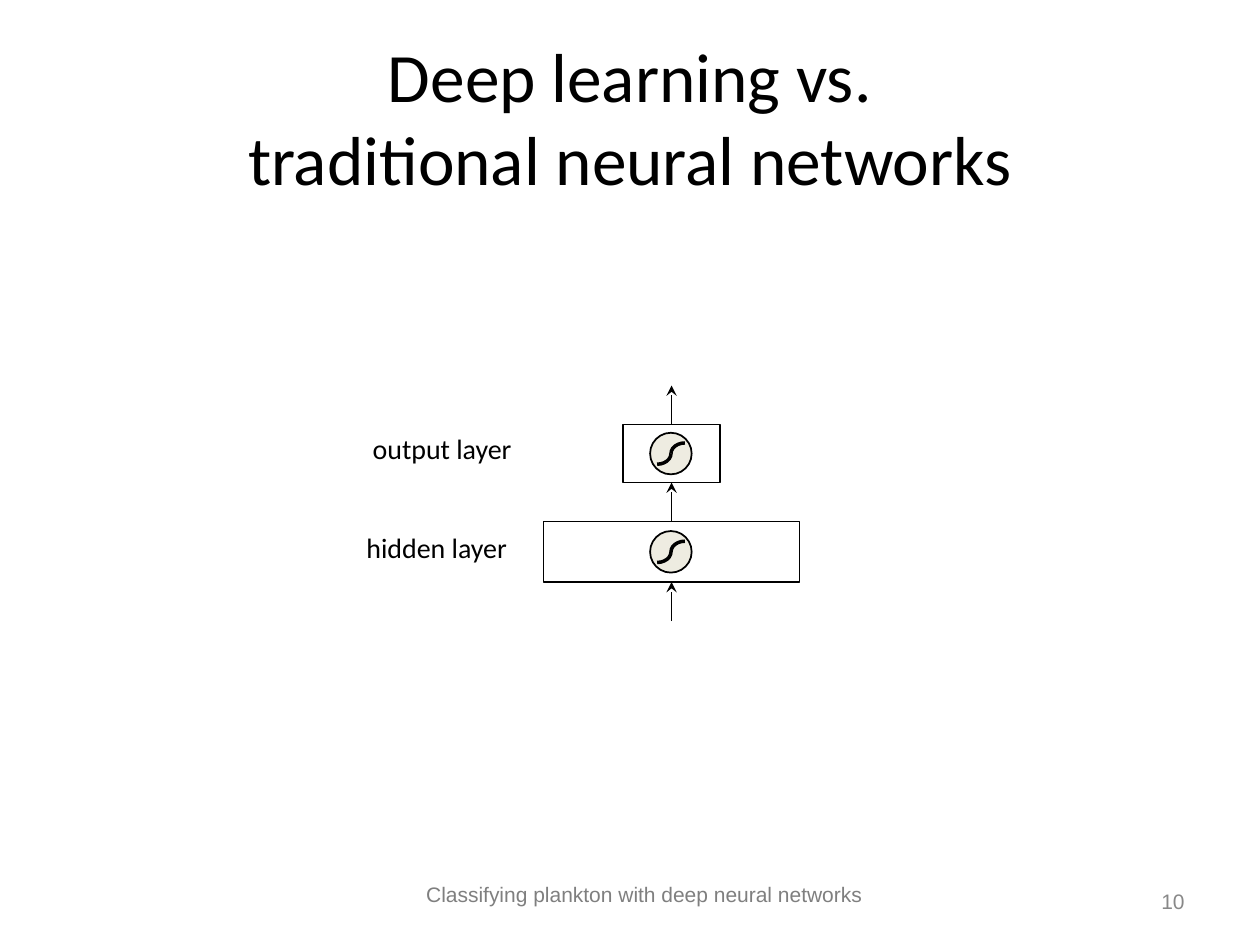
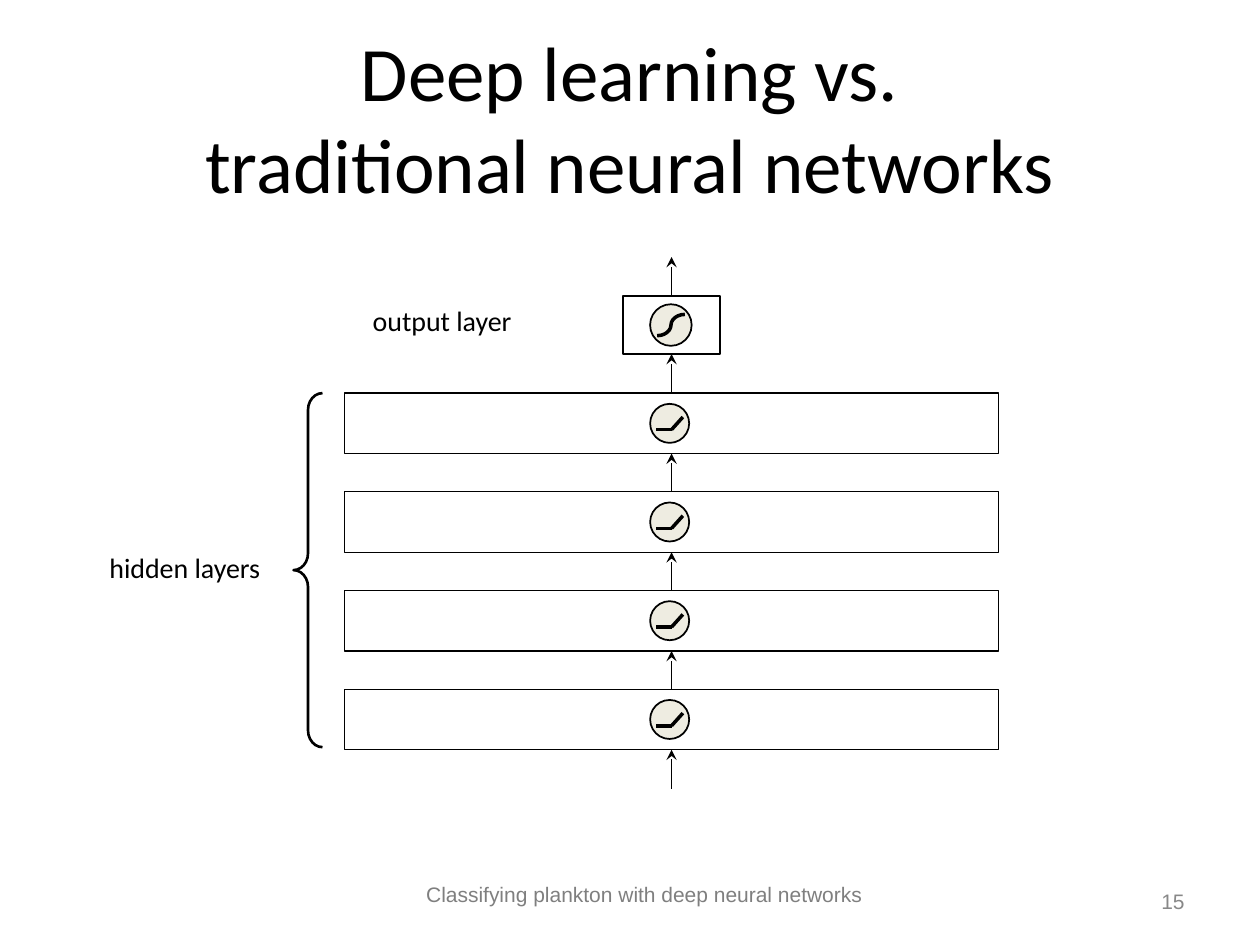
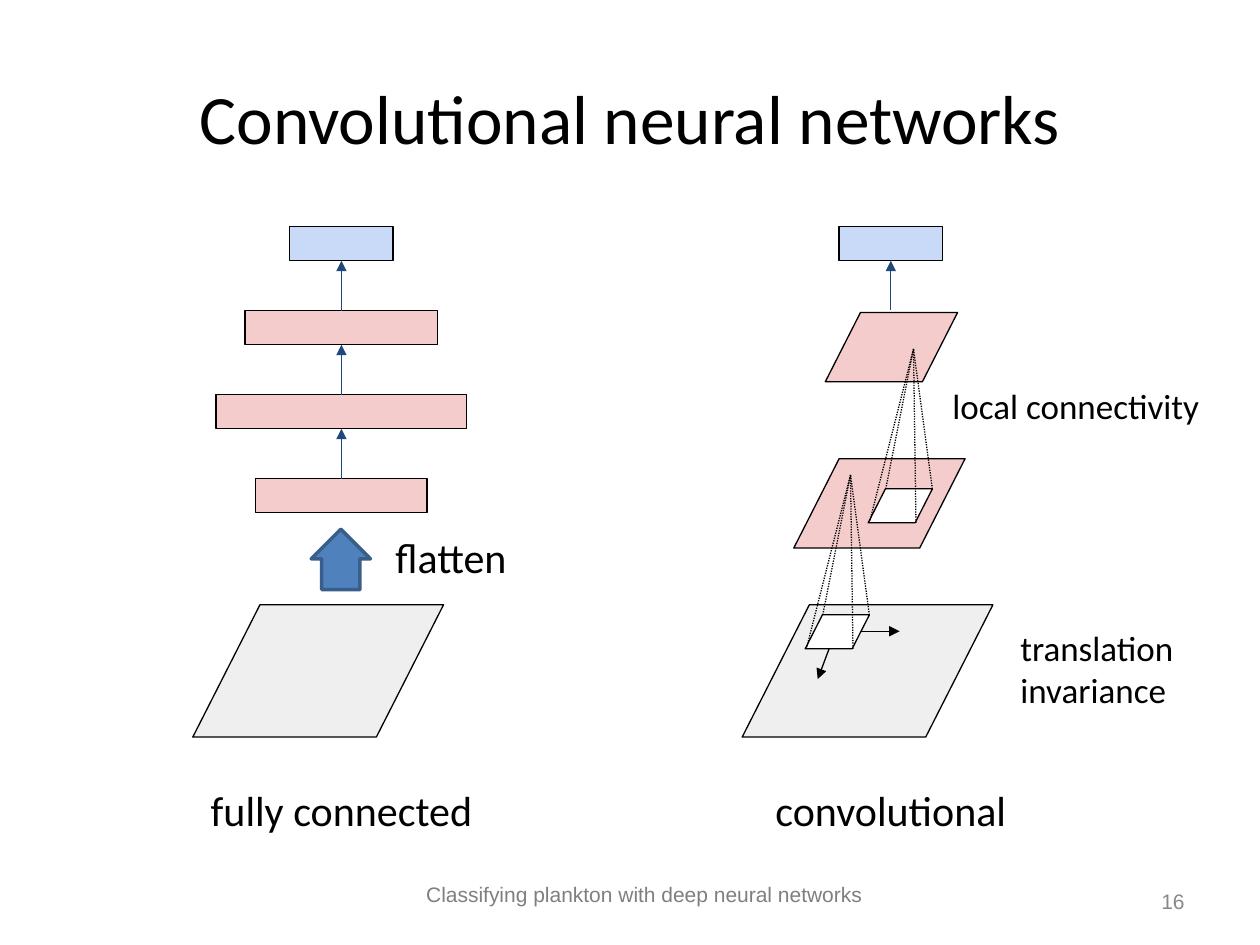
from lxml import etree
from pptx import Presentation
from pptx.dml.color import RGBColor
from pptx.enum.dml import MSO_LINE
from pptx.enum.shapes import MSO_CONNECTOR, MSO_SHAPE
from pptx.enum.text import MSO_ANCHOR, PP_ALIGN
from pptx.oxml.ns import qn
from pptx.util import Inches, Pt

STRAIGHT = MSO_CONNECTOR.STRAIGHT
DOTTED = MSO_LINE.ROUND_DOT
RECT, ELLIPSE, ARC = MSO_SHAPE.RECTANGLE, MSO_SHAPE.OVAL, MSO_SHAPE.ARC
BRACE, UP_ARROW, SHEET = MSO_SHAPE.LEFT_BRACE, MSO_SHAPE.UP_ARROW, MSO_SHAPE.PARALLELOGRAM
TOP, MIDDLE = MSO_ANCHOR.TOP, MSO_ANCHOR.MIDDLE
LEFT, CENTER, RIGHT = PP_ALIGN.LEFT, PP_ALIGN.CENTER, PP_ALIGN.RIGHT

COLORS = {
    "black": "000000", "white": "FFFFFF", "footer": "7F7F7F", "number": "888888",
    "unit": "EEECE1", "input": "EFEFEF", "hidden": "F4CCCC", "output": "C9DAF8",
    "arrow": "1F497D", "flatten": "4F81BD", "flatten_line": "395E89",
}

# Text styles: font, colour, alignment, anchor, vertical inset
STYLES = {
    "title": ({"name": "Calibri", "size": Pt(39.6)}, "black", CENTER, MIDDLE, 0.05),
    "big_title": ({"name": "Calibri", "size": Pt(44)}, "black", CENTER, MIDDLE, 0.05),
    "footer": ({"name": "Arial", "size": Pt(12)}, "footer", CENTER, TOP, 0.05),
    "number": ({"name": "Arial", "size": Pt(12)}, "number", RIGHT, MIDDLE, 0.05),
    "layer": ({"name": "Calibri", "size": Pt(16)}, "black", LEFT, TOP, 0.05),
    "note": ({"name": "Calibri", "size": Pt(20)}, "black", LEFT, TOP, 0.1),
    "step": ({"name": "Calibri", "size": Pt(24)}, "black", LEFT, TOP, 0.1),
    "caption": ({"name": "Calibri", "size": Pt(24)}, "black", CENTER, TOP, 0.1),
}


def add_shape(shapes, kind, box, fill=None, line="black", width=0.75, rot=0, adj=()):
    sp = shapes.add_shape(kind, *map(Inches, box))
    sp.shadow.inherit = False
    sp.rotation = rot
    if fill:
        sp.fill.solid()
        sp.fill.fore_color.rgb = RGBColor.from_string(COLORS[fill])
    else:
        sp.fill.background()
    sp.line.color.rgb = RGBColor.from_string(COLORS[line])
    sp.line.width = Pt(width)
    for i, value in enumerate(adj):
        sp.adjustments[i] = value
    return sp


def add_line(shapes, start, end, color="black", width=0.75, head=None, dash=None,
             below=None, above=None):
    """Draw a line; below / above are the boxes it leaves from and arrives at."""
    cxn = shapes.add_connector(STRAIGHT, *map(Inches, (*start, *end)))
    cxn.line.color.rgb = RGBColor.from_string(COLORS[color])
    cxn.line.width = Pt(width)
    if dash:
        cxn.line.dash_style = dash
    if head:
        etree.SubElement(cxn.line._get_or_add_ln(), qn("a:tailEnd"), type=head)
    etree.SubElement(cxn._element.spPr, qn("a:effectLst"))
    if below:
        cxn.begin_connect(below, 0)
    if above:
        cxn.end_connect(above, 2)


prs = Presentation()
prs.slide_width, prs.slide_height = Inches(10), Inches(7.5)
slides = [prs.slides.add_slide(prs.slide_layouts[6]) for _ in range(3)]

# Layer stacks: slide, top of first hidden layer, hidden layers, width, activation
CX = 5.33
PITCH = 2.35 / 3
for s, first, count, hidden_w, activation in [
    (slides[0], 4.14, 1, 2.03, "sigmoid"),
    (slides[1], 3.12, 4, 5.19, "relu"),
]:
    layers = [(first - 0.77, 0.77, 0.46, "sigmoid")]
    layers += [(first + i * PITCH, hidden_w, 0.48, activation) for i in range(count)]
    above = None
    for top, w, h, unit in layers:
        box = add_shape(s.shapes, RECT, (CX - w / 2, top, w, h))
        add_line(s.shapes, (CX, top), (CX, top - 0.31), width=1, head="stealth",
                 below=box, above=above)
        above = box

        # Unit with its activation curve
        cy = top + h / 2
        group = s.shapes.add_group_shape().shapes
        size = 0.33 if unit == "sigmoid" else 0.31
        add_shape(group, ELLIPSE, (5.16, cy - size / 2, size, size), "unit", width=1)
        if unit == "sigmoid":
            for x, rot in [(5.13, 90), (5.35, 270)]:
                add_shape(group, ARC, (x, cy - 0.11, 0.17, 0.22), width=2, rot=rot)
        else:
            bend = (CX, cy + 0.05)
            add_line(group, (5.21, cy + 0.05), bend, width=2)
            add_line(group, bend, (5.42, cy - 0.05), width=2)
    bottom = top + h
    add_line(s.shapes, (CX, bottom + 0.31), (CX, bottom), width=1, head="stealth", above=above)

add_shape(slides[1].shapes, BRACE, (2.33, 3.12, 0.23, 2.81), width=1.5, adj=(0.581, 0.5))

# Fully connected network
shapes = slides[2].shapes
FULL_X, CONV_X = 2.71, 7.07
add_shape(shapes, SHEET, (1.53, 4.8, 1.99, 1.05), "input", adj=(0.508,))
above = None
for i, w in enumerate([0.82, 1.53, 1.99, 1.36]):
    top = 1.8 + i * 2 / 3
    box = add_shape(shapes, RECT, (FULL_X - w / 2, top, w, 0.27), "hidden" if i else "output")
    if above:
        add_line(shapes, (FULL_X, top), (FULL_X, top - 0.4), "arrow", head="triangle",
                 below=box, above=above)
    above = box
add_shape(shapes, UP_ARROW, (FULL_X - 0.24, 4.2, 0.47, 0.48), "flatten", "flatten_line", 2,
          adj=(0.644, 0.5))

# Convolutional network
output = add_shape(shapes, RECT, (CONV_X - 0.41, 1.8, 0.82, 0.27), "output")
add_line(shapes, (CONV_X, 2.46), (CONV_X, 2.07), "arrow", head="triangle", above=output)
for sheet, fill in [
    ((5.89, 4.8, 1.99, 1.05), "input"),
    ((6.3, 3.64, 1.36, 0.71), "hidden"),
    ((6.55, 2.48, 1.05, 0.55), "hidden"),
]:
    add_shape(shapes, SHEET, sheet, fill, adj=(0.508,))

# Local patches, each corner projected to one point of the next layer
for x, y in [(6.39, 4.88), (6.89, 3.88)]:
    add_shape(shapes, SHEET, (x, y, 0.51, 0.27), "white", adj=(0.508,))
    for dx, dy in [(0.14, 0), (0.51, 0), (0.01, 0.27), (0.38, 0.27)]:
        add_line(shapes, (x + dx, y + dy), (x + 0.36, y - 1.11), dash=DOTTED)
for start, end in [((6.83, 5.01), (7.14, 5.01)), ((6.58, 5.15), (6.49, 5.39))]:
    add_line(shapes, start, end, head="triangle")

# Texts: slide index, box, style, wording
TITLE = "Deep learning vs.\vtraditional neural networks"
TITLE_BOX = (0.5, 0.3, 9, 1.25)
texts = [
    (0, TITLE_BOX, "title", TITLE),
    (0, (2.86, 3.38, 1.37, 0.37), "layer", "output layer"),
    (0, (2.81, 4.16, 1.42, 0.37), "layer", "hidden layer"),
    (1, TITLE_BOX, "big_title", TITLE),
    (1, (2.86, 2.36, 1.37, 0.37), "layer", "output layer"),
    (1, (0.77, 4.32, 1.53, 0.37), "layer", "hidden layers"),
    (2, TITLE_BOX, "title", "Convolutional neural networks"),
    (2, (3.04, 4.12, 1.24, 0.55), "step", "flatten"),
    (2, (1.13, 6.13, 3.16, 0.55), "caption", "fully connected"),
    (2, (5.49, 6.13, 3.16, 0.55), "caption", "convolutional"),
    (2, (7.46, 2.95, 2.54, 0.55), "note", "local connectivity"),
    (2, (8, 4.87, 1.53, 0.55), "note", "translation invariance"),
]
for i, number in enumerate(["10", "15", "16"]):
    texts.append((i, (1.25, 6.95, 7.73, 0.3), "footer",
                  "Classifying plankton with deep neural networks"))
    texts.append((i, (8.52, 6.95, 0.98, 0.4), "number", number))

for i, box, style, text in texts:
    font, color, align, anchor, inset = STYLES[style]
    tf = slides[i].shapes.add_textbox(*map(Inches, box)).text_frame
    frame = {"word_wrap": True, "vertical_anchor": anchor,
             "margin_left": Inches(0.1), "margin_right": Inches(0.1),
             "margin_top": Inches(inset), "margin_bottom": Inches(inset)}
    for key, value in frame.items():
        setattr(tf, key, value)
    p = tf.paragraphs[0]
    p.text = text
    p.alignment = align
    for r in p.runs:
        for key, value in font.items():
            setattr(r.font, key, value)
        r.font.color.rgb = RGBColor.from_string(COLORS[color])

prs.save("out.pptx")
